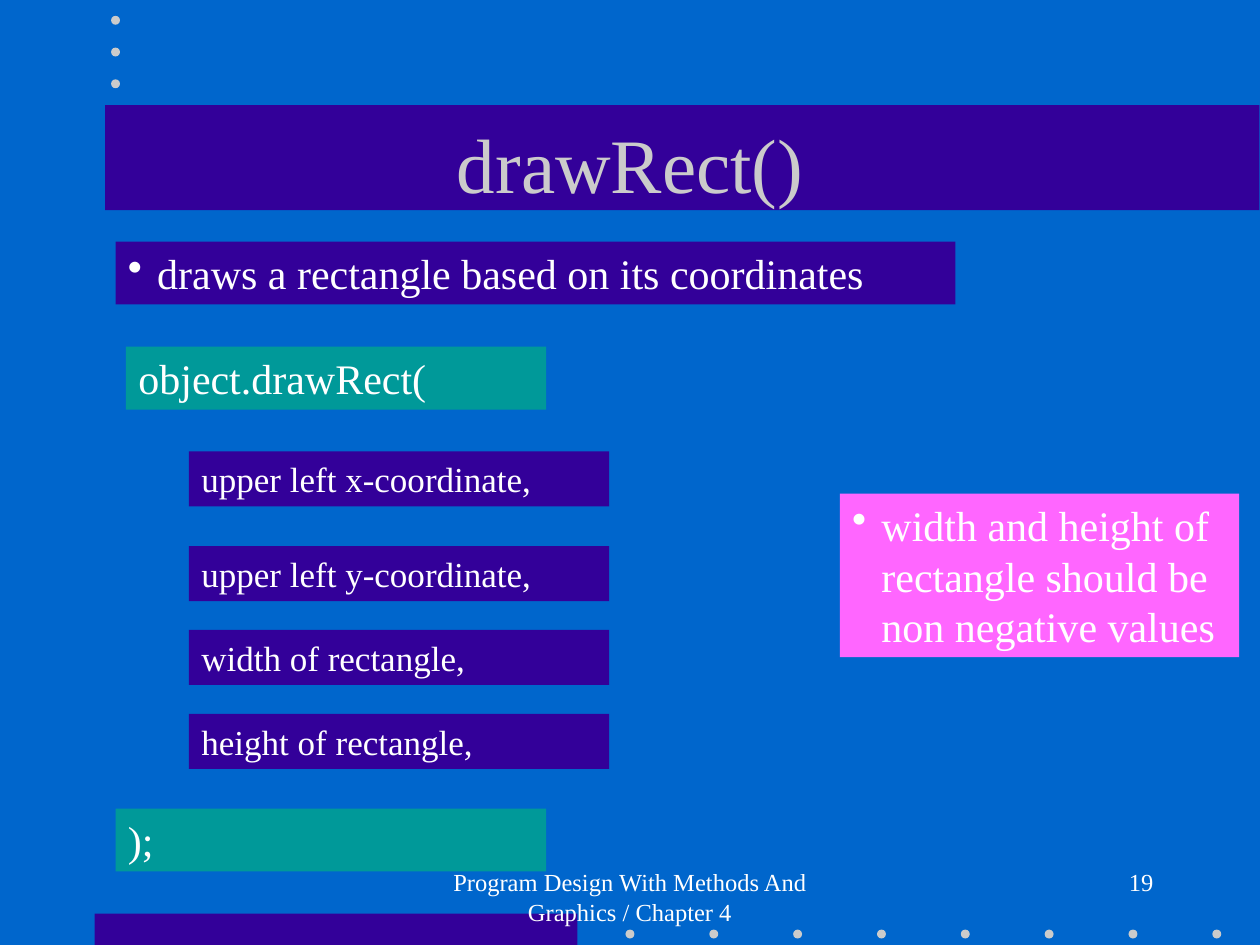
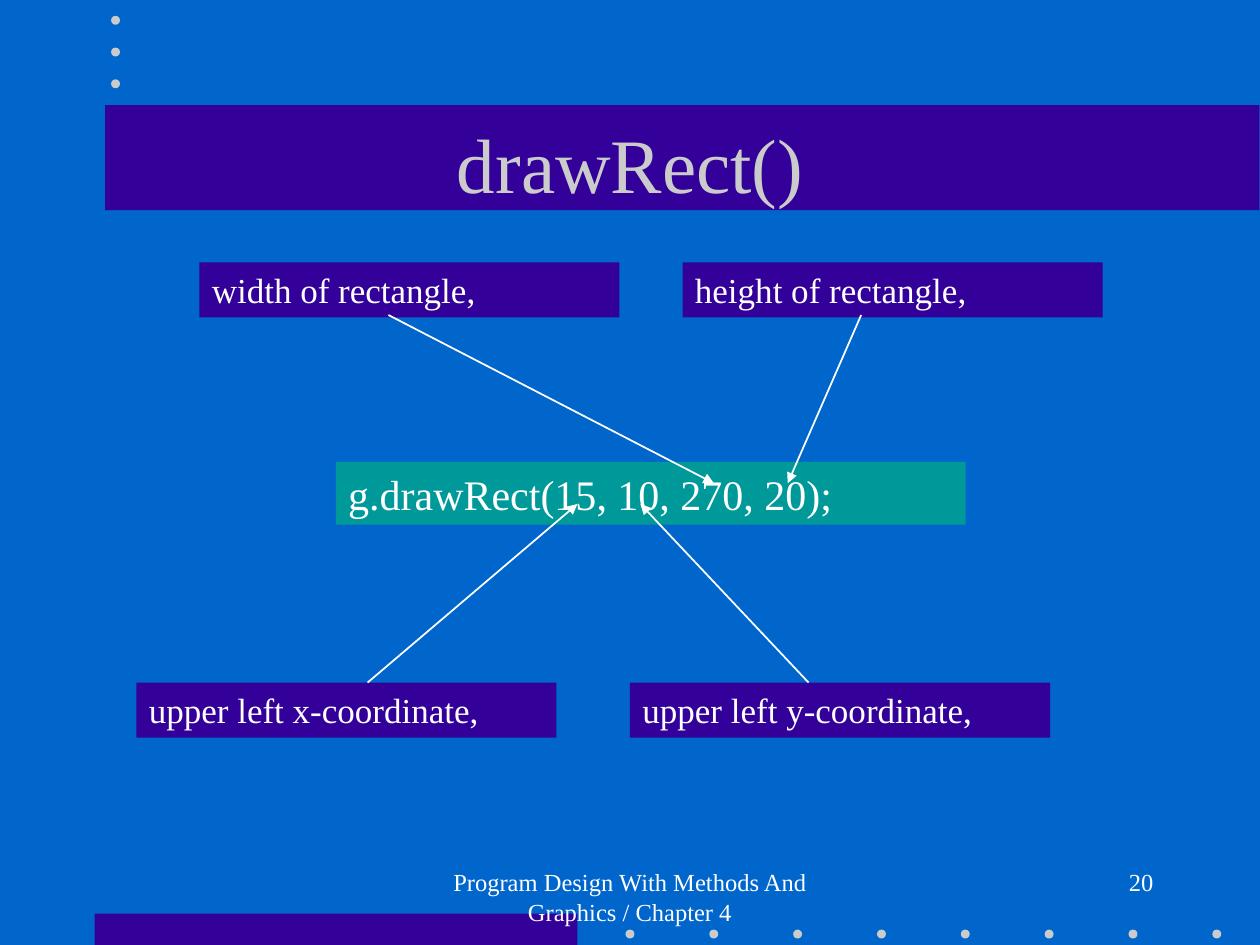
from dataclasses import dataclass

from lxml import etree
from pptx import Presentation
from pptx.dml.color import RGBColor
from pptx.enum.shapes import MSO_CONNECTOR, MSO_SHAPE
from pptx.enum.text import MSO_ANCHOR, PP_ALIGN
from pptx.oxml.ns import qn
from pptx.util import Cm, Pt

RECTANGLE, OVAL = MSO_SHAPE.RECTANGLE, MSO_SHAPE.OVAL
STRAIGHT = MSO_CONNECTOR.STRAIGHT
TOP, MIDDLE = MSO_ANCHOR.TOP, MSO_ANCHOR.MIDDLE
LEFT, CENTER, RIGHT = PP_ALIGN.LEFT, PP_ALIGN.CENTER, PP_ALIGN.RIGHT
TITLE_ONLY = 5


@dataclass(frozen=True)
class Theme:
    font: str = "Times New Roman"
    background: str = "0066CC"
    band: str = "330099"
    code: str = "009999"
    note: str = "FF66FF"
    muted: str = "CBCBCB"
    text: str = "FFFFFF"
    title_size: int = 44
    body_size: int = 24
    parameter_size: int = 20
    footer_size: int = 14
    space_before: float = 0.625  # share of the type size


@dataclass(frozen=True)
class Box:
    """A region in centimetres."""
    left: float
    top: float
    width: float
    height: float

    def inside(self, left, top, width, height):
        return Box(self.left + left, self.top + top, width, height)

    def point(self, x, y):
        return Cm(self.left + x), Cm(self.top + y)

    def lengths(self):
        return Cm(self.left), Cm(self.top), Cm(self.width), Cm(self.height)


THEME = Theme()
PAGE = Box(0, 0, 25.4, 19.05)
TITLE_BOX = Box(1.91, 1.69, 21.59, 3.18)
FOOTER_BOX = Box(8.68, 17.36, 14.82, 1.27)
SYNTAX_BOX = Box(2.33, 4.87, 22.66, 12.7)
CALL_BOX = Box(2.75, 5.29, 19.47, 9.59)
PARAMETER_WIDTH, PARAMETER_HEIGHT = 8.47, 1.11
LINE_HEIGHT = 1.27

TITLE = "drawRect()"
FOOTER = "Program Design With Methods And Graphics / Chapter 4"
X, Y, WIDTH, HEIGHT = ("upper left x-coordinate,", "upper left y-coordinate,",
                       "width of rectangle,", "height of rectangle,")


# Basic parts
def write(frame, text, size, color=THEME.text, align=LEFT, anchor=TOP, spaced=True):
    frame.word_wrap = True
    frame.vertical_anchor = anchor
    paragraph = frame.paragraphs[0]
    paragraph.alignment = align
    if spaced:
        paragraph.space_before = Pt(round(size * THEME.space_before, 1))
    run = paragraph.add_run()
    run.text = text
    run.font.name = THEME.font
    run.font.size = Pt(size)
    run.font.color.rgb = RGBColor.from_string(color)
    return paragraph


def add_filled(shapes, kind, box, color):
    shape = shapes.add_shape(kind, *box.lengths())
    shape.shadow.inherit = False
    shape.fill.solid()
    shape.fill.fore_color.rgb = RGBColor.from_string(color)
    shape.line.fill.background()
    return shape


def add_label(slide, box, text, color, size=THEME.body_size, bullet=False):
    shape = add_filled(slide.shapes, RECTANGLE, box, color)
    paragraph = write(shape.text_frame, text, size)
    if bullet:
        properties = paragraph._p.get_or_add_pPr()
        properties.set("marL", str(Cm(0.59)))
        properties.set("indent", str(-Cm(0.59)))
        etree.SubElement(properties, qn("a:buChar"), char="•")


def add_parameter(slide, region, left, top, text):
    box = region.inside(left, top, PARAMETER_WIDTH, PARAMETER_HEIGHT)
    add_label(slide, box, text, THEME.band, THEME.parameter_size)


def add_arrow(slide, start, end):
    connector = slide.shapes.add_connector(STRAIGHT, *start, *end)
    connector.line.color.rgb = RGBColor.from_string(THEME.text)
    connector.line.width = Pt(1)
    properties = connector.element.spPr
    etree.SubElement(properties.find(qn("a:ln")), qn("a:tailEnd"), type="triangle")
    etree.SubElement(properties, qn("a:effectLst"))


# Shared frame
def decorate_master(master, slide, page):
    """Draw bands and dots as one group and move it behind the master's text."""
    master.background.fill.solid()
    master.background.fill.fore_color.rgb = RGBColor.from_string(THEME.background)
    group = slide.shapes.add_group_shape()
    for band in (page.inside(1.91, 18.42, 9.73, 0.63),
                 page.inside(2.12, 2.12, 23.27, 2.12)):
        add_filled(group.shapes, RECTANGLE, band, THEME.band)
    bottom_dots = [(12.61 + 1.69 * i, 18.74) for i in range(8)]
    top_dots = [(2.24, 0.32 + 0.64 * i) for i in range(3)]
    for left, top in bottom_dots + top_dots:
        add_filled(group.shapes, OVAL, page.inside(left, top, 0.18, 0.18), THEME.muted)
    for number, node in enumerate(group.element.iter(qn("p:cNvPr")), 100):
        node.set("id", str(number))
    master.shapes.element.insert(2, group.element)


def fill_title(slide, box, text):
    title = slide.shapes.title
    title.left, title.top, title.width, title.height = box.lengths()
    write(title.text_frame, text, THEME.title_size, THEME.muted, CENTER, MIDDLE, False)


def add_footer(slide, box, page_number):
    for left, width, text, align in ((0, 8.04, FOOTER, CENTER),
                                     (9.53, 5.29, str(page_number), RIGHT)):
        part = box.inside(left, 0, width, box.height)
        text_box = slide.shapes.add_textbox(*part.lengths())
        write(text_box.text_frame, text, THEME.footer_size, align=align)


# Slide bodies
def build_syntax(slide, region):
    add_label(slide, region.inside(0, 0, 16.93, LINE_HEIGHT),
              "draws a rectangle based on its coordinates", THEME.band, bullet=True)
    add_label(slide, region.inside(0.21, 2.12, 8.47, LINE_HEIGHT),
              "object.drawRect(", THEME.code)
    for top, text in ((4.23, X), (6.14, Y), (7.83, WIDTH), (9.52, HEIGHT)):
        add_parameter(slide, region, 1.48, top, text)
    add_label(slide, region.inside(0, 11.43, 8.68, LINE_HEIGHT), ");", THEME.code)
    add_label(slide, region.inside(14.6, 5.08, 8.05, 3.3),
              "width and height of rectangle should be non negative values",
              THEME.note, bullet=True)


def build_call(slide, region):
    add_label(slide, region.inside(4.02, 4.02, 12.7, LINE_HEIGHT),
              "g.drawRect(15, 10, 270, 20);", THEME.code)
    upper, lower = 0, 8.47
    for left, top, text, start, end in (
            (0, lower, X, (4.66, lower), (8.89, 4.87)),
            (9.95, lower, Y, (13.55, lower), (10.16, 4.87)),
            (1.27, upper, WIDTH, (5.08, 1.06), (11.64, 4.45)),
            (11.01, upper, HEIGHT, (14.61, 1.06), (13.13, 4.45))):
        add_parameter(slide, region, left, top, text)
        add_arrow(slide, region.point(*start), region.point(*end))


def main():
    presentation = Presentation()
    presentation.slide_width, presentation.slide_height = Cm(PAGE.width), Cm(PAGE.height)
    bodies = ((build_syntax, SYNTAX_BOX), (build_call, CALL_BOX))
    for page_number, (build_body, region) in enumerate(bodies, 19):
        slide = presentation.slides.add_slide(presentation.slide_layouts[TITLE_ONLY])
        fill_title(slide, TITLE_BOX, TITLE)
        build_body(slide, region)
        add_footer(slide, FOOTER_BOX, page_number)
    decorate_master(presentation.slide_master, presentation.slides[0], PAGE)
    presentation.save("out.pptx")


if __name__ == "__main__":
    main()
